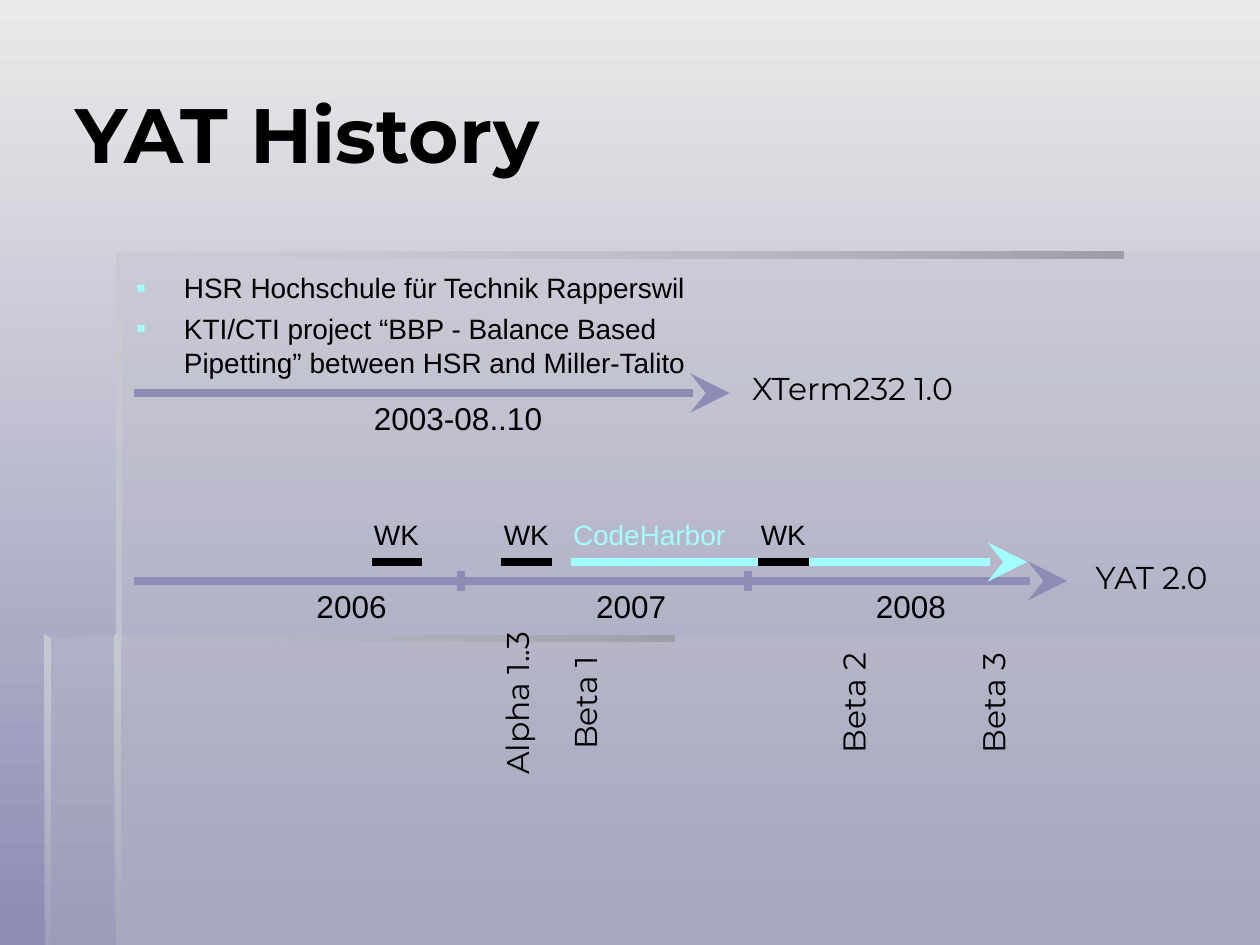
from lxml.etree import SubElement
from pptx import Presentation
from pptx.dml.color import RGBColor
from pptx.enum.shapes import MSO_CONNECTOR
from pptx.enum.text import MSO_ANCHOR, MSO_AUTO_SIZE, PP_ALIGN
from pptx.oxml.ns import qn
from pptx.util import Inches, Pt

COLORS = {
    "sky": "EAEAEA",
    "violet": "8C8CB4",
    "panel": "C1C2CB",
    "edge_dark": "9E9FA6",
    "edge_light": "C9C9D1",
    "cyan": "A3FFFF",
    "black": "000000",
}
HEADING_FONT, BODY_FONT = "Montserrat", "Arial"


def rgb(name):
    return RGBColor.from_string(COLORS[name])


def style_text(frame, size, font, color="black", align=PP_ALIGN.LEFT, bold=False):
    frame.word_wrap = True
    for paragraph in frame.paragraphs:
        paragraph.alignment = align
        for run in paragraph.runs:
            run.font.size = Pt(size)
            run.font.name = font
            run.font.bold = bold
            run.font.color.rgb = rgb(color)


def add_label(slide, text, left, top, width, size=18, font=BODY_FONT,
              color="black", align=PP_ALIGN.CENTER, rotation=0):
    label = slide.shapes.add_textbox(left, top, width, Inches(0.4))
    label.text_frame.text = text
    label.rotation = rotation
    style_text(label.text_frame, size, font, color, align)


def add_line(slide, x1, y1, x2, y2, color="violet", arrow=False):
    line = slide.shapes.add_connector(MSO_CONNECTOR.STRAIGHT, x1, y1, x2, y2)
    line.line.color.rgb = rgb(color)
    line.line.width = Pt(4.5)
    properties = line._element.spPr
    if arrow:
        SubElement(properties.find(qn("a:ln")), qn("a:tailEnd"),
                   type="stealth", w="lg", len="lg")
    SubElement(properties, qn("a:effectLst"))


def set_gradient(fill, names, angle):
    fill.gradient()
    fill.gradient_angle = angle
    for stop, name in zip(fill.gradient_stops, names):
        stop.color.rgb = rgb(name)


def add_panel(slide, points, names, opacities, angle=0):
    """Outline in inches; one colour gives a solid fill, two a gradient."""
    corners = [(Inches(x), Inches(y)) for x, y in points]
    builder = slide.shapes.build_freeform(*corners[0])
    builder.add_line_segments(corners[1:], close=True)
    panel = builder.convert_to_shape()
    panel.shadow.inherit = False
    panel.line.fill.background()
    if len(names) == 1:
        panel.fill.solid()
        panel.fill.fore_color.rgb = rgb(names[0])
    else:
        set_gradient(panel.fill, names, angle)
    for color, opacity in zip(panel._element.iter(qn("a:srgbClr")), opacities):
        SubElement(color, qn("a:alpha"), val=str(opacity * 1000))


def bar(left, top, width, height=0.05):
    right, bottom = left + width, top + height
    return [(left, top), (right, top), (right, bottom), (left, bottom)]


def post(left, top, bottom, width=0.05):
    """Vertical edge with a bevelled top."""
    right = left + width
    return [(left, top), (left, bottom), (right, bottom), (right, top + 0.04)]


def draw_backdrop(slide, width, height):
    set_gradient(slide.background.fill, ("sky", "violet"), 270)
    # Overlapping translucent panels
    add_panel(slide, bar(0.92, 5.05, width - 0.92, height - 5.05), ["panel"], [30])
    stepped = [(0.94, 5.06), (0.36, 5.06), (0.36, height), (width, height),
               (width, 2), (0.94, 2)]
    add_panel(slide, stepped, ["panel"], [30])
    # Shaded edges of the panels
    top_edge, side_edge = ("panel", "edge_dark"), ("edge_light", "panel")
    add_panel(slide, bar(0.92, 2, 8), top_edge, (0, 100))
    add_panel(slide, post(0.92, 2, 5.1), side_edge, (100, 100), 270)
    add_panel(slide, post(0.91, 5.04, height), side_edge, (100, 0), 270)
    add_panel(slide, bar(0.35, 5.04, 5), top_edge, (0, 100))
    add_panel(slide, post(0.35, 5.04, height), side_edge, (100, 10), 270)


def move_placeholder(slide, placeholder, left, top, width, height):
    """Bring the placeholder in front of the backdrop and position it."""
    slide.shapes._spTree.append(placeholder._element)
    placeholder.left, placeholder.top = left, top
    placeholder.width, placeholder.height = width, height
    placeholder.text_frame.auto_size = MSO_AUTO_SIZE.NONE


def draw_title(slide, left, top, width, height):
    title = slide.shapes.title
    move_placeholder(slide, title, left, top, width, height)
    title.text_frame.text = "YAT History"
    title.text_frame.vertical_anchor = MSO_ANCHOR.MIDDLE
    style_text(title.text_frame, 44, HEADING_FONT, bold=True)


def draw_project_list(slide, left, top, width, height):
    project = slide.placeholders[1]
    move_placeholder(slide, project, left, top, width, height)
    frame = project.text_frame
    frame.text = ("HSR Hochschule für Technik Rapperswil\n"
                  "KTI/CTI project “BBP - Balance Based Pipetting” "
                  "between HSR and Miller-Talito")
    for index, paragraph in enumerate(frame.paragraphs):
        paragraph.space_before = Pt(4 if index else 0)
        properties = paragraph._p.get_or_add_pPr()
        properties.set("marL", str(Inches(0.38)))
        properties.set("indent", str(-Inches(0.38)))
        bullet_color = SubElement(properties, qn("a:buClr"))
        SubElement(bullet_color, qn("a:srgbClr"), val=COLORS["cyan"])
        SubElement(properties, qn("a:buFont"), typeface=BODY_FONT)
        SubElement(properties, qn("a:buChar"), char="▪")
    style_text(frame, 16, BODY_FONT)


def draw_first_release(slide, left, top, width):
    add_line(slide, left, top, left + width, top, arrow=True)
    add_label(slide, "2003-08..10", left + Inches(0.5), top, width - Inches(0.58))
    add_label(slide, "XTerm232 1.0", left + width + Inches(0.08),
              top - Inches(0.24), Inches(2.21), font=HEADING_FONT,
              align=PP_ALIGN.LEFT)


def draw_yat_timeline(slide, left, top, width):
    # Main axis with years and year boundaries
    add_line(slide, left, top, left + width, top, arrow=True)
    add_label(slide, "YAT 2.0", left + width, top - Inches(0.23), Inches(1.34),
              font=HEADING_FONT)
    for index, year in enumerate(("2006", "2007", "2008")):
        add_label(slide, year, left + Inches(1.23 + 2.22 * index), top, Inches(1))
    for boundary in (2.6, 4.88):
        x = left + Inches(boundary)
        add_line(slide, x, top + Inches(0.08), x, top - Inches(0.08))

    # Periods above the axis
    period_y, caption_y = top - Inches(0.15), top - Inches(0.55)
    periods = [("WK", 1.89, 0.4, "black"), ("WK", 2.92, 0.4, "black"),
               ("CodeHarbor", 3.47, 3.62, "cyan"), ("WK", 4.96, 0.4, "black")]
    for name, start, length, color in periods:
        x = left + Inches(start)
        is_hosting = color == "cyan"
        add_line(slide, x, period_y, x + Inches(length), period_y, color, is_hosting)
        add_label(slide, name, x - Inches(0.08), caption_y,
                  Inches(1.5 if is_hosting else 0.63), 16, color=color,
                  align=PP_ALIGN.LEFT)

    # Milestones below the axis, reading upwards
    milestones = [("Alpha 1..3", 3.04), ("Beta 1", 3.58), ("Beta 2", 5.71),
                  ("Beta 3", 6.82)]
    for name, center in milestones:
        add_label(slide, name, left + Inches(center - 0.81), top + Inches(0.77),
                  Inches(1.62), font=HEADING_FONT, rotation=270)


def main():
    deck = Presentation()
    deck.slide_width, deck.slide_height = Inches(10), Inches(7.5)
    slide = deck.slides.add_slide(deck.slide_layouts[1])
    draw_backdrop(slide, 10, 7.5)
    draw_title(slide, Inches(0.5), Inches(0.27), Inches(9.17), Inches(1.57))
    draw_project_list(slide, Inches(0.98), Inches(2.1), Inches(4.88), Inches(0.95))
    draw_first_release(slide, Inches(1.06), Inches(3.12), Inches(4.73))
    draw_yat_timeline(slide, Inches(1.06), Inches(4.61), Inches(7.41))
    deck.save("out.pptx")


if __name__ == "__main__":
    main()
